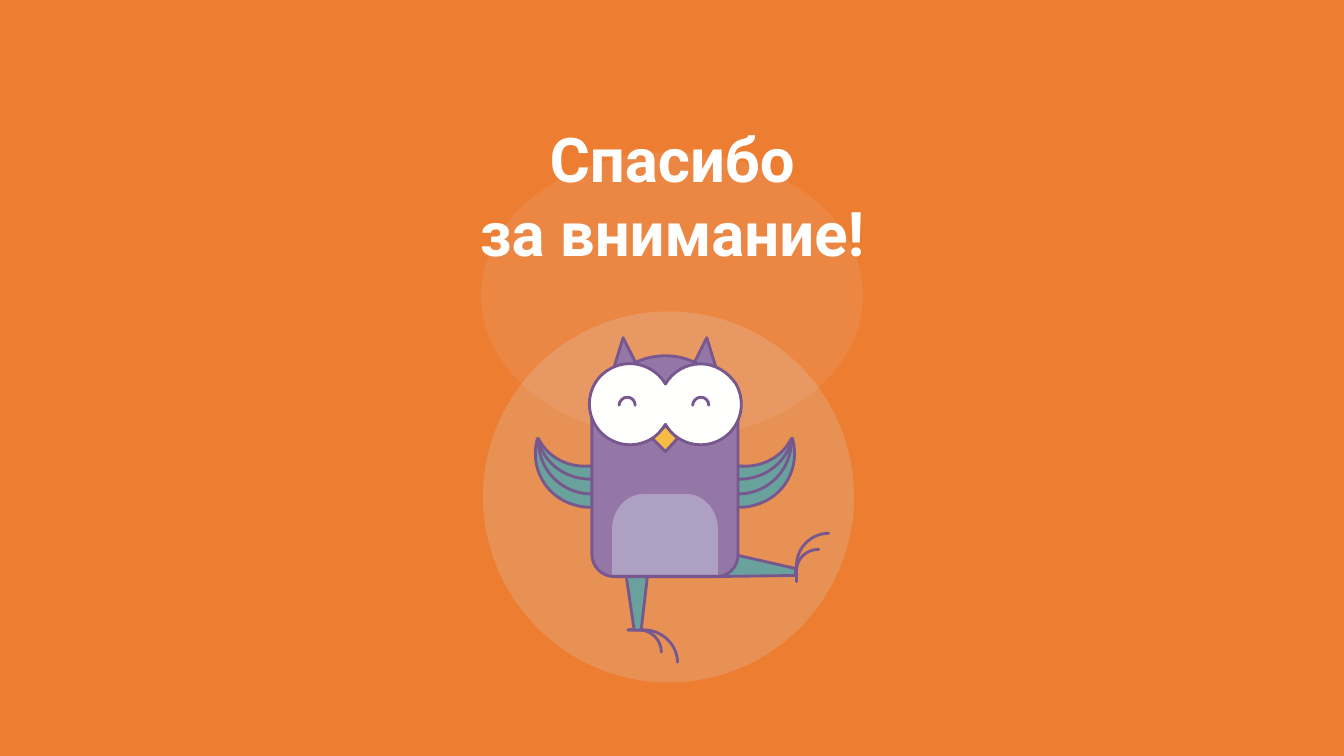
import lxml.etree
import pptx
import pptx.dml.color
import pptx.enum.shapes
import pptx.enum.text
import pptx.oxml.ns
import pptx.util

PX = 9144  # EMU per px, 100 px to the inch
MIRROR = 1319  # sum of the x values of two mirrored points

ORANGE, WHITE = "ED7D31", "FFFFFF"
PURPLE, LILAC, OUTLINE = "9476A7", "AEA0C2", "77578E"
TEAL, YELLOW, EYE_WHITE = "69A19D", "F5BB42", "FFFFFE"

qn = pptx.oxml.ns.qn
rgb = pptx.dml.color.RGBColor.from_string


def paint(shape, fill=None, alpha=100, line=None):
    shape.shadow.inherit = False
    if fill:
        shape.fill.solid()
        shape.fill.fore_color.rgb = rgb(fill)
        if alpha < 100:
            color = shape._element.spPr.find(".//" + qn("a:srgbClr"))
            lxml.etree.SubElement(color, qn("a:alpha"), val=str(alpha * 1000))
    else:
        shape.fill.background()
    if line:
        shape.line.color.rgb = rgb(line)
        shape.line.width = pptx.util.Pt(2.04)
        stroke = shape._element.spPr.find(qn("a:ln"))
        stroke.set("cap", "rnd")
        lxml.etree.SubElement(stroke, qn("a:round"))
    else:
        shape.line.fill.background()


def draw(shapes, outline, fill=None, line=OUTLINE, strokes="", mirrored=False):
    """Draw a filled area, then its line with further strokes, from M, L, C and Z commands."""
    layers = [(outline, fill, None)] if fill else []
    if line:
        layers.append((outline + strokes, None, line))
    for commands, layer_fill, layer_line in layers:
        for letter in "MLCZ":
            commands = commands.replace(letter, "|" + letter)
        builder, curve_starts, count = None, [], 0
        for command in commands.split("|")[1:]:
            numbers = [int(n) for n in command[1:].split()]
            points = [((MIRROR - x if mirrored else x) * PX, y * PX)
                      for x, y in zip(numbers[::2], numbers[1::2])]
            if command[0] == "C":
                curve_starts.append(count)
            if builder is None:
                builder = shapes.build_freeform(*points[0], scale=1.0)
            elif command[0] == "M":
                builder.move_to(*points[0])
            else:
                builder.add_line_segments(points, close=command[0] == "Z")
            count += max(1, len(points))
        shape = builder.convert_to_shape()
        paint(shape, layer_fill, line=layer_line)
        # Join the three points of each curve into one Bézier segment
        steps = list(shape._element.spPr.find(".//" + qn("a:path")))
        for start in curve_starts:
            bezier = lxml.etree.Element(qn("a:cubicBezTo"))
            steps[start].addprevious(bezier)
            for step in steps[start:start + 3]:
                bezier.append(step[0])
                step.getparent().remove(step)


prs = pptx.Presentation()
prs.slide_width, prs.slide_height = 1333 * PX, 750 * PX
slide = prs.slides.add_slide(prs.slide_layouts[6])
slide.background.fill.solid()
slide.background.fill.fore_color.rgb = rgb(ORANGE)

# Pale ellipse behind the title, pale circle behind the owl
halo = slide.shapes.add_shape(pptx.enum.shapes.MSO_SHAPE.OVAL,
                              477 * PX, 151 * PX, 379 * PX, 284 * PX)
paint(halo, "E7E6E6", alpha=10)
owl = slide.shapes.add_group_shape().shapes
draw(owl, "M847 493 C847 594 765 677 663 677 C562 677 479 594 479 493"
          "C479 391 562 309 663 309 C765 309 847 391 847 493 Z", "D8E4E7", line=None)
disc_color = owl[0]._element.spPr.find(".//" + qn("a:srgbClr"))
lxml.etree.SubElement(disc_color, qn("a:alpha"), val="20000")

# Wings
for mirrored in (False, True):
    draw(owl, "M595 488 L592 475 C565 478 540 462 533 435 C525 464 541 493 570 501"
              "C580 504 590 504 600 501 C598 497 597 492 595 488 Z", TEAL, mirrored=mirrored)
    draw(owl, "M595 488 C593 479 591 471 588 462 C566 465 544 455 534 435"
              "C533 465 556 489 585 490 C589 490 592 490 596 489 Z", TEAL,
         strokes="M592 475 C565 478 540 462 533 435", mirrored=mirrored)

# Legs and claws
draw(owl, "M822 529 C805 529 790 543 790 561 L790 577 M812 545 C800 545 790 554 790 566")
draw(owl, "M732 551 L789 564 L789 571 L712 572", TEAL,
     strokes="M672 657 C672 640 657 625 639 625 L623 625"
             "M656 647 C656 635 646 625 634 625 L623 625")
draw(owl, "M642 573 L636 625 L629 625 L621 571", TEAL)

# Body, ears and belly
EAR = "M602 387 L618 335 L631 361 Z"
draw(owl, "M712 572 L607 572 C596 572 587 563 587 552 L587 408 L732 408 L732 552"
          "C732 563 723 572 712 572 Z" + EAR, PURPLE, line=None)
draw(owl, EAR)
draw(owl, EAR, PURPLE, mirrored=True)
draw(owl, "M732 403 L732 550 C732 562 723 572 711 572 L609 572"
          "C597 572 587 562 587 550 L587 403")
draw(owl, "M607 570 L607 525 C607 506 621 490 639 490 L680 490"
          "C698 490 712 506 712 525 L712 570 Z", LILAC, line=None)

# Head, beak and eyes
draw(owl, "M727 421 C727 439 660 406 660 406 C660 406 592 439 592 421"
          "C592 383 622 353 660 353 C697 353 727 383 727 421 Z", PURPLE)
draw(owl, "M672 435 L660 448 L647 435 L660 422 Z", YELLOW)
draw(owl, "M695 361 C680 361 667 369 660 381 C649 362 624 355 605 366"
          "C585 377 579 402 590 421 C601 440 625 447 645 436 C651 433 656 427 660 421"
          "C671 440 695 447 715 436 C734 425 741 401 730 381 C722 369 709 361 695 361 Z", EYE_WHITE)
for x in (614, 687):
    draw(owl, f"M{x} 402 C{x} 398 {x + 4} 394 {x + 8} 394 "
              f"C{x + 13} 394 {x + 16} 398 {x + 16} 402", EYE_WHITE)

# Title
title = slide.shapes.add_textbox(342 * PX, 114 * PX, 650 * PX, 158 * PX).text_frame
title.word_wrap = True
title.vertical_anchor = pptx.enum.text.MSO_ANCHOR.MIDDLE
font_format = {"name": "Roboto", "size": pptx.util.Pt(44), "bold": True}
for index, words in enumerate(("Спасибо", "за внимание!")):
    paragraph = title.paragraphs[0] if index == 0 else title.add_paragraph()
    paragraph.alignment = pptx.enum.text.PP_ALIGN.CENTER
    run = paragraph.add_run()
    run.text = words
    for attribute, value in font_format.items():
        setattr(run.font, attribute, value)
    run.font.color.rgb = rgb(WHITE)

prs.save("out.pptx")
